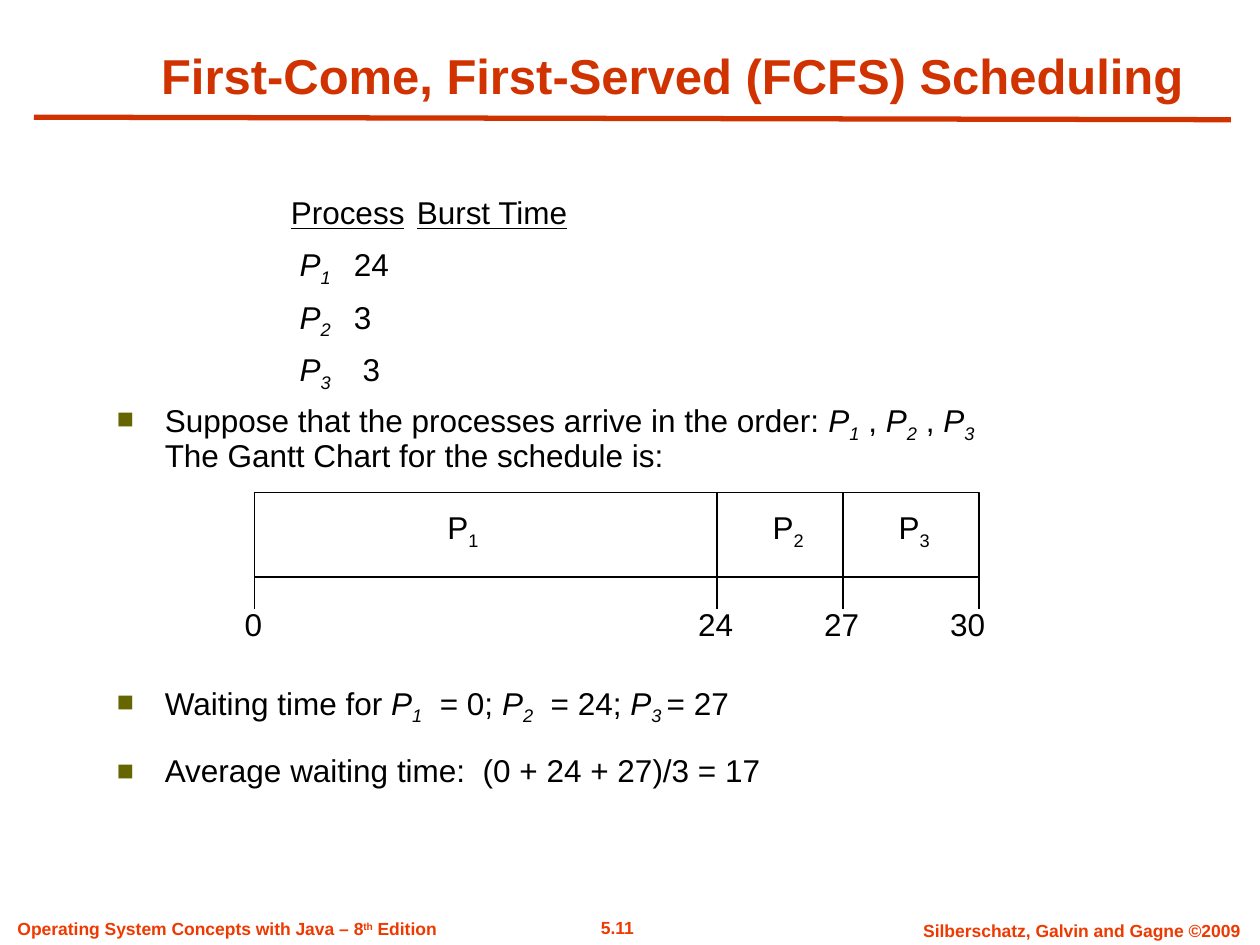
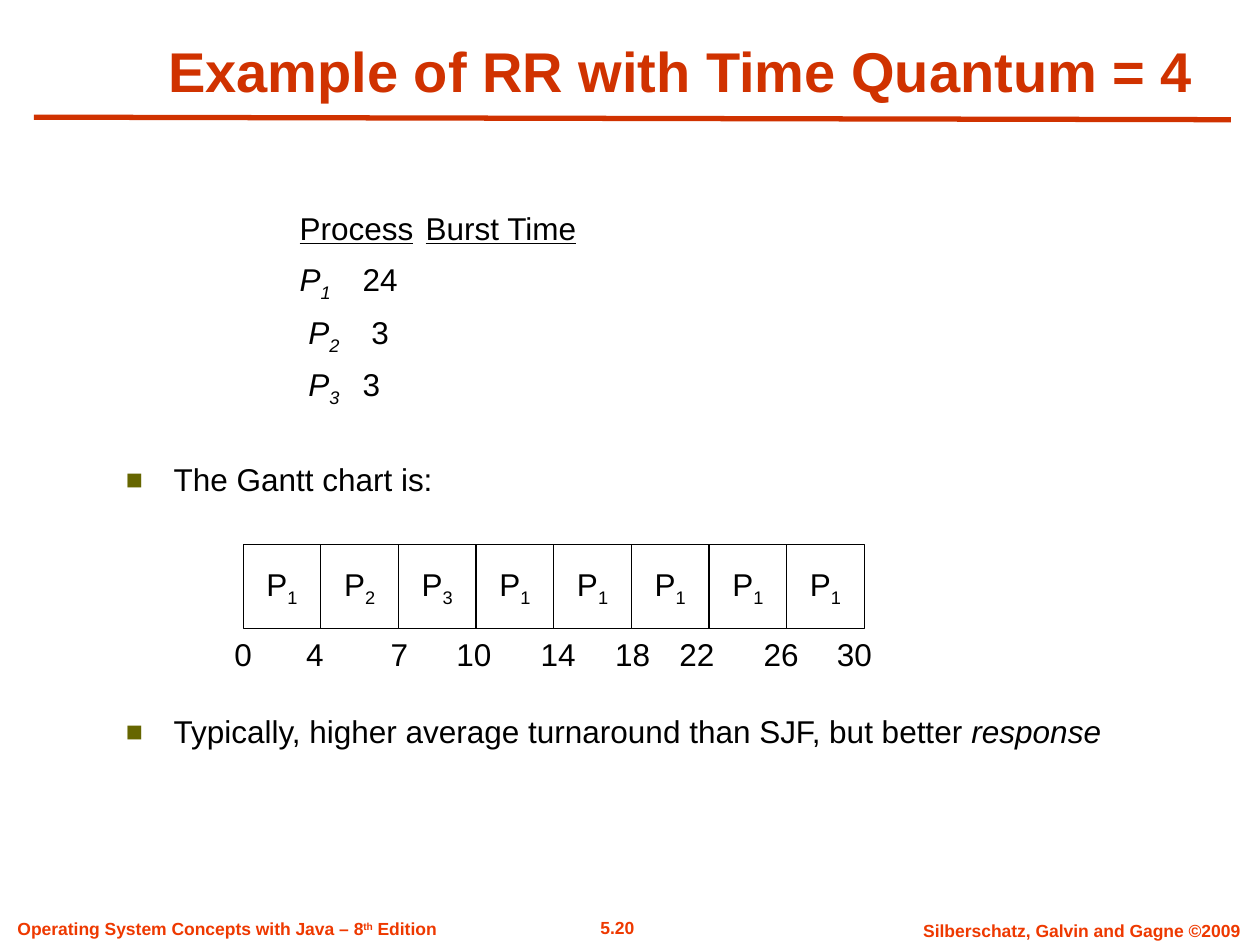
from pptx import Presentation
from pptx import util as u
from pptx.dml.color import RGBColor
from pptx.enum import shapes, text
from pptx.oxml.ns import qn
from lxml import etree

BLACK = RGBColor(0x00, 0x00, 0x00)
WHITE = RGBColor(0xFF, 0xFF, 0xFF)
RUST = RGBColor(0xD0, 0x32, 0x00)
ORANGE = RGBColor(0xEE, 0x39, 0x00)
OLIVE = RGBColor(0x66, 0x66, 0x00)

FONT = "Arial"
CENTER, LEFT = text.PP_ALIGN.CENTER, text.PP_ALIGN.LEFT
TOP, MIDDLE, BOTTOM = (text.MSO_ANCHOR.TOP, text.MSO_ANCHOR.MIDDLE,
                       text.MSO_ANCHOR.BOTTOM)
ITALIC = {"italic": True}
UNDERLINED = {"underline": True}


def process(number, after="", italic=True):
    """Spans for a process name with a lowered number."""
    return [("P", {"italic": italic}),
            (f"{number}{after}", {"italic": italic, "baseline": -25})]


def add_child(parent, tag, **attributes):
    return etree.SubElement(parent, qn(tag), attributes)


class Lecture:
    """Holds the deck, its style and the current slide."""

    def __init__(self):
        self.deck = Presentation()
        self.deck.slide_width, self.deck.slide_height = u.Inches(10), u.Inches(7.5)
        self.page = None

    def start_slide(self, title, title_area, title_size, number):
        self.page = self.deck.slides.add_slide(self.deck.slide_layouts[6])
        # Footers and the rule below the title
        footer = {"size": 10, "color": ORANGE, "bold": True}
        self.label((4.41, 7.23, 0.98, 0.27), [(number, {})], **footer)
        self.label((7.1, 7.25, 2.97, 0.27),
                   [("Silberschatz, Galvin and Gagne ©2009", {})], **footer)
        self.label((0.04, 7.24, 3.55, 0.27),
                   [("Operating System Concepts with Java – 8", {}),
                    ("th", {"baseline": 30}), (" Edition", {})],
                   align=LEFT, **footer)
        self.line((0.27, 0.93), (9.77, 0.95), RUST, 3)
        # Title
        self.label(title_area, [(title, {})], anchor=BOTTOM, wrap=True,
                   size=title_size, color=RUST, bold=True)

    def add_spans(self, para, spans, **style):
        """Adds spans to a paragraph; a newline becomes a line break."""
        for words, own in spans:
            values = {"name": FONT, "size": 18, "color": BLACK, **style, **own}
            baseline = values.pop("baseline", 0)
            color = values.pop("color")
            values["size"] = u.Pt(values["size"])
            for position, piece in enumerate(words.split("\n")):
                if position:
                    para.add_line_break()
                if not piece:
                    continue
                span = para.add_run()
                span.text = piece
                for key, value in values.items():
                    setattr(span.font, key, value)
                span.font.color.rgb = color
                if baseline:
                    span._r.get_or_add_rPr().set("baseline", str(baseline * 1000))

    def frame(self, shape, anchor, wrap):
        frame = shape.text_frame
        frame.word_wrap, frame.vertical_anchor = wrap, anchor
        return frame

    def label(self, area, spans, align=CENTER, anchor=TOP, wrap=False, **style):
        box = self.page.shapes.add_textbox(*map(u.Inches, area))
        para = self.frame(box, anchor, wrap).paragraphs[0]
        para.alignment = align
        self.add_spans(para, spans, **style)

    def body(self, area, rows):
        """Rows are (kind, space before, spans); kind is 'cell' or 'bullet'."""
        box = self.page.shapes.add_textbox(*map(u.Inches, area))
        frame = self.frame(box, TOP, True)
        for position, (kind, gap, spans) in enumerate(rows):
            para = frame.add_paragraph() if position else frame.paragraphs[0]
            para.line_spacing, para.space_before = 0.9, u.Pt(gap)
            self.indent(para, kind == "bullet")
            self.add_spans(para, spans)

    def indent(self, para, bullet):
        properties = para._p.get_or_add_pPr()
        margin, first = (0.38, -0.38) if bullet else (1.38, 0)
        properties.set("marL", str(u.Inches(margin)))
        properties.set("indent", str(u.Inches(first)))
        if bullet:
            color = add_child(properties, "a:buClr")
            add_child(color, "a:srgbClr", val=str(OLIVE))
            add_child(properties, "a:buSzPct", val="90000")
            add_child(properties, "a:buFont", typeface=FONT)
            add_child(properties, "a:buChar", char="■")

    def rectangle(self, area, spans=()):
        shape = self.page.shapes.add_shape(shapes.MSO_SHAPE.RECTANGLE,
                                           *map(u.Inches, area))
        shape.shadow.inherit = False
        shape.fill.solid()
        shape.fill.fore_color.rgb = WHITE
        shape.line.color.rgb, shape.line.width = BLACK, u.Pt(0.75)
        para = self.frame(shape, MIDDLE, False).paragraphs[0]
        para.alignment = CENTER
        self.add_spans(para, spans)

    def line(self, start, end, color=BLACK, width=0.75):
        line = self.page.shapes.add_connector(
            shapes.MSO_CONNECTOR.STRAIGHT, *map(u.Inches, (*start, *end)))
        line.line.color.rgb, line.line.width = color, u.Pt(width)
        add_child(line._element.spPr, "a:effectLst")

    def times(self, centers, top, values):
        for center, value in zip(centers, values):
            width = 0.34 if value < 10 else 0.48
            self.label((center - width / 2, top, width, 0.4),
                       [(str(value), {})], anchor=MIDDLE)


def burst_rows(rows):
    """Header and rows of the process table; each row is (lead, number, burst)."""
    yield "cell", 7.9, [("Process", UNDERLINED), ("\t", {}),
                        ("Burst Time", UNDERLINED)]
    for lead, number, burst in rows:
        yield "cell", 7.9, [(lead, {}), *process(number, "\t"), (burst, {})]


def fcfs_slide(lecture):
    lecture.start_slide("First-Come, First-Served (FCFS) Scheduling",
                        (0.83, 0.38, 9.01, 0.5), 28, "5.11")
    lecture.body((0.83, 1.52, 8.27, 4.99), [
        *burst_rows([(" ", 1, "24"), (" ", 2, "3"), (" ", 3, " 3")]),
        ("bullet", 7, [("Suppose that the processes arrive in the order: ", {}),
                       *process(1), (" , ", {}), *process(2), (" , ", {}),
                       *process(3), ("\nThe Gantt Chart for the schedule is:", {})]),
        ("bullet", 120, [("Waiting time for ", {}), *process(1), ("  = 0; ", {}),
                         *process(2), ("  = 24; ", {}), *process(3, " "),
                         ("= 27", {})]),
        ("bullet", 18.5, [("Average waiting time:  (0 + 24 + 27)/3 = 17", {})]),
    ])
    # Gantt chart
    left, right, top, bottom = 2.02, 7.77, 3.91, 4.58
    lecture.rectangle((left, top, right - left, bottom - top))
    for number, center in enumerate((3.68, 6.26, 7.26), 1):
        lecture.label((center - 0.23, 3.98, 0.45, 0.44),
                      process(number, italic=False), anchor=MIDDLE)
    for divider in (5.69, 6.69):
        lecture.line((divider, top), (divider, bottom))
    for tick in (left, 5.69, 6.69, right):
        lecture.line((tick, bottom), (tick, 4.83))
    lecture.times((2.01, 5.68, 6.68, 7.68), 4.75, (0, 24, 27, 30))


def round_robin_slide(lecture):
    lecture.start_slide("Example of RR with Time Quantum = 4",
                        (1, 0.09, 8.81, 0.78), 32, "5.20")
    lecture.body((0.9, 1.64, 8.04, 4.9), [
        *burst_rows([("", 1, "24"), (" ", 2, " 3"), (" ", 3, "3")]),
        ("bullet", 34.5, [("The Gantt chart is:", {})]),
        ("bullet", 124.5,
         [("Typically, higher average turnaround than SJF, but better ", {}),
          ("response", ITALIC)]),
    ])
    # Gantt chart
    order = (1, 2, 3, 1, 1, 1, 1, 1)
    width = 4.93 / len(order)
    for slot, number in enumerate(order):
        lecture.rectangle((1.93 + slot * width, 4.32, width, 0.67),
                          process(number, italic=False))
    lecture.times((1.93, 2.5, 3.17, 3.76, 4.43, 5.02, 5.53, 6.2, 6.78), 4.99,
                  (0, 4, 7, 10, 14, 18, 22, 26, 30))


def main():
    lecture = Lecture()
    fcfs_slide(lecture)
    round_robin_slide(lecture)
    lecture.deck.save("out.pptx")


if __name__ == "__main__":
    main()
